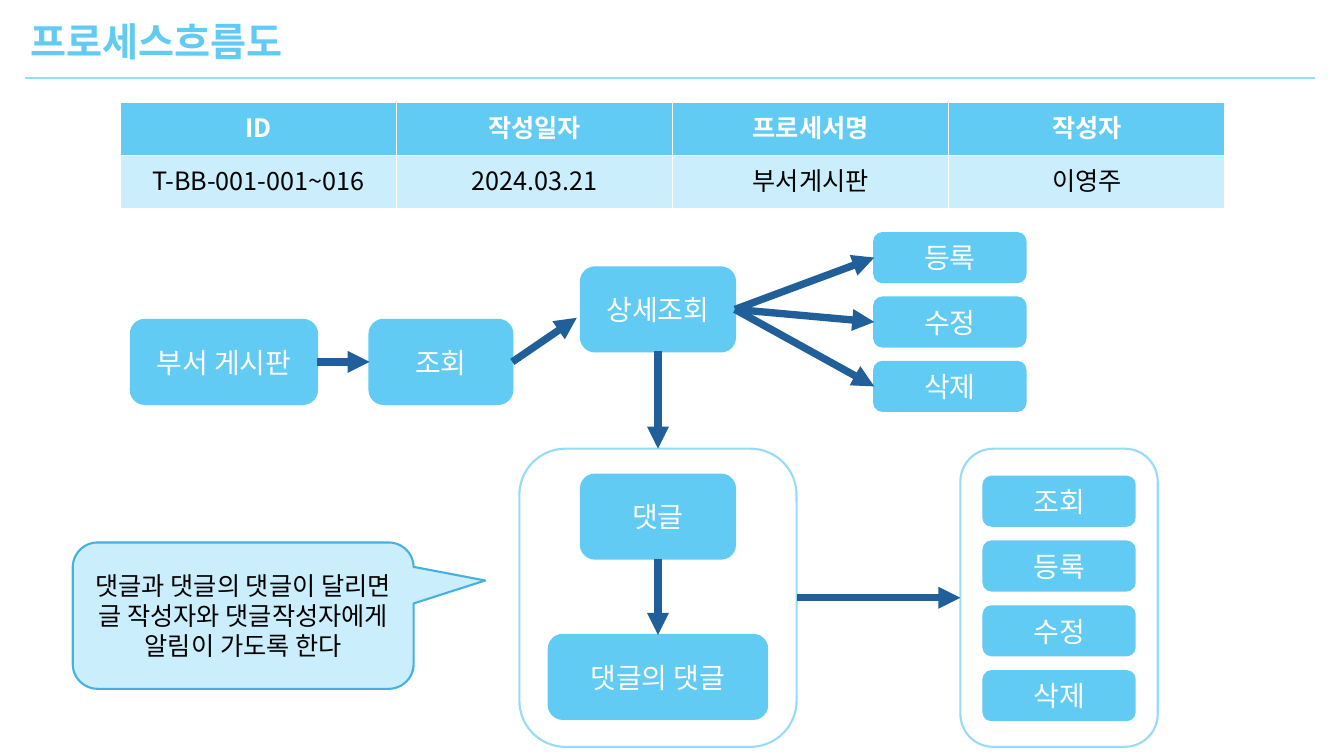
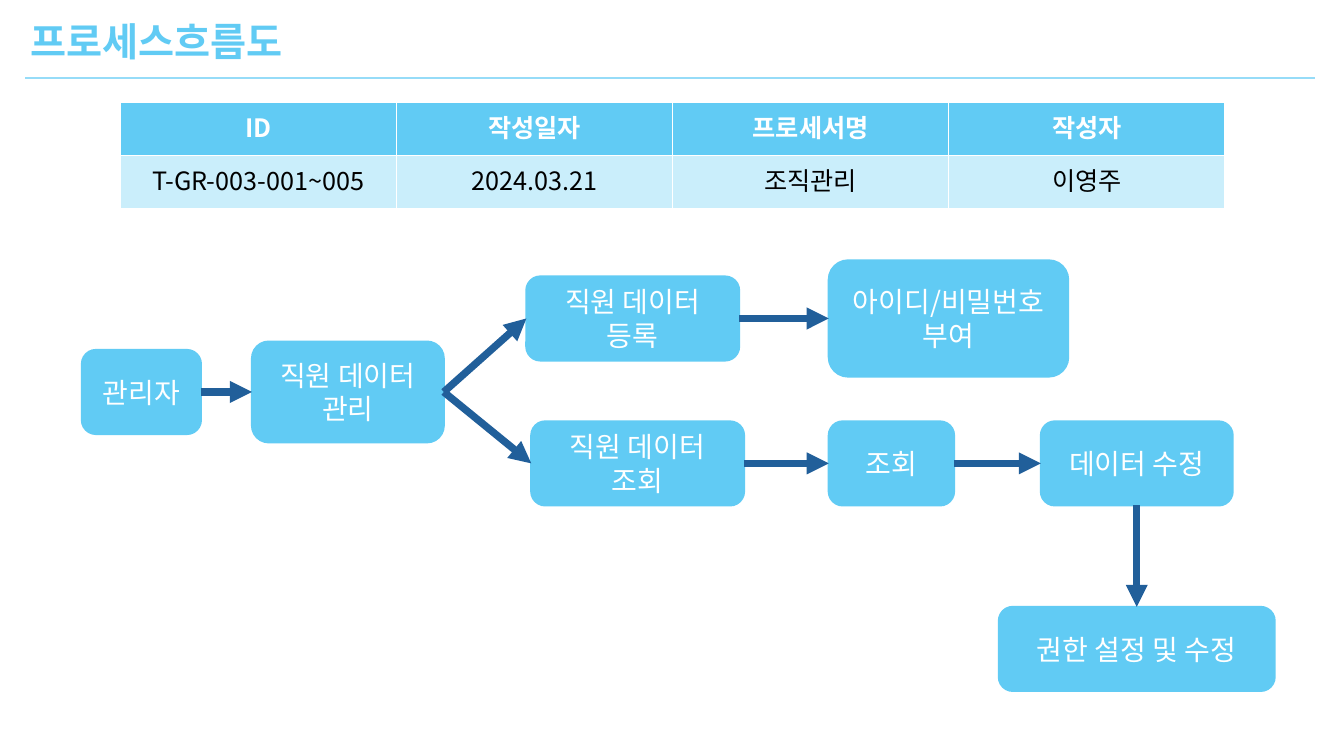
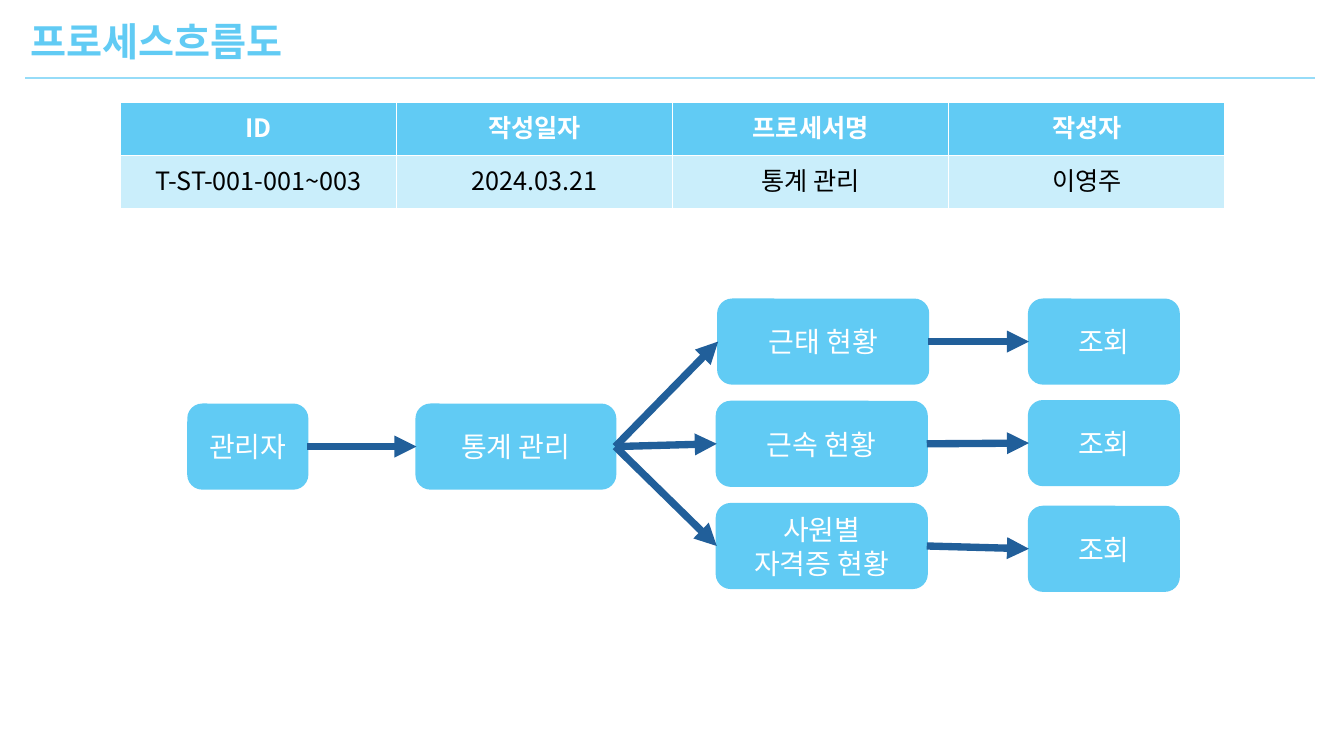
from lxml.etree import SubElement
from pptx import Presentation
from pptx.dml.color import RGBColor
from pptx.enum.shapes import MSO_CONNECTOR, MSO_SHAPE
from pptx.enum.text import MSO_ANCHOR, MSO_AUTO_SIZE, PP_ALIGN
from pptx.oxml.ns import qn
from pptx.util import Pt

SKY = RGBColor(0x61, 0xCB, 0xF4)
PALE = RGBColor(0xCA, 0xEE, 0xFB)
SOFT = RGBColor(0x96, 0xDC, 0xF8)
EDGE = RGBColor(0x46, 0xB1, 0xE1)
NAVY = RGBColor(0x21, 0x5F, 0x9A)
WHITE = RGBColor(0xFF, 0xFF, 0xFF)
BLACK = RGBColor(0x00, 0x00, 0x00)

FONT = "Noto Sans CJK KR"
TITLE_FORMAT = {"size": Pt(28), "bold": True, "name": FONT}
HEADER_FORMAT = {"size": Pt(18), "bold": True, "name": FONT}
BODY_FORMAT = {"size": Pt(18), "bold": False, "name": FONT}
BOX_FORMAT = {"size": Pt(20), "bold": False, "name": FONT}
TITLE_FRAME = {
    "word_wrap": False,
    "auto_size": MSO_AUTO_SIZE.SHAPE_TO_FIT_TEXT,
    "vertical_anchor": MSO_ANCHOR.TOP,
}
BOX_FRAME = {"word_wrap": True, "vertical_anchor": MSO_ANCHOR.MIDDLE}

TOP, LEFT, BOTTOM, RIGHT = range(4)
HEADERS = ("ID", "작성일자", "프로세서명", "작성자")


def apply(target, values):
    for name, value in values.items():
        setattr(target, name, value)


class FlowDeck:
    """Holds the shared style and the slide being drawn."""

    def __init__(self):
        self.presentation = Presentation()
        apply(self.presentation, {"slide_width": Pt(960), "slide_height": Pt(540)})
        self.slide = None

    def fill_text(self, frame, text, values, color, align=PP_ALIGN.CENTER):
        frame.text = text
        for paragraph in frame.paragraphs:
            paragraph.alignment = align
            for run in paragraph.runs:
                apply(run.font, values)
                run.font.color.rgb = color
                east_asian = SubElement(run._r.get_or_add_rPr(), qn("a:ea"))
                east_asian.set("typeface", FONT)

    def start(self, record):
        self.slide = self.presentation.slides.add_slide(
            self.presentation.slide_layouts[5]
        )
        self.title("프로세스흐름도")
        self.line((18, 56), (939.5, 56), SOFT, 1.5)
        self.table((HEADERS, record))

    def title(self, text):
        title = self.slide.shapes.title
        apply(title, {"left": Pt(14.5), "top": Pt(8.5),
                      "width": Pt(212), "height": Pt(41)})
        self.fill_text(title.text_frame, text, TITLE_FORMAT, SKY, PP_ALIGN.LEFT)
        apply(title.text_frame, TITLE_FRAME)

    def table(self, rows):
        table = self.slide.shapes.add_table(
            len(rows), len(HEADERS), Pt(86), Pt(73.5), Pt(789), Pt(75.5)
        ).table
        looks = ((SKY, HEADER_FORMAT, WHITE), (PALE, BODY_FORMAT, BLACK))
        for row, (texts, (fill, values, color)) in enumerate(zip(rows, looks)):
            for column, text in enumerate(texts):
                cell = table.cell(row, column)
                cell.fill.solid()
                cell.fill.fore_color.rgb = fill
                self.fill_text(cell.text_frame, text, values, color)

    def shape(self, kind, left, top, width, height, fill, line):
        shape = self.slide.shapes.add_shape(
            kind, Pt(left), Pt(top), Pt(width), Pt(height)
        )
        shape.shadow.inherit = False
        if fill is None:
            shape.fill.background()
        else:
            shape.fill.solid()
            shape.fill.fore_color.rgb = fill
        shape.line.color.rgb = line
        shape.line.width = Pt(1.5)
        return shape

    def box(self, text, left, top, width, height=60):
        box = self.shape(
            MSO_SHAPE.ROUNDED_RECTANGLE, left, top, width, height, SKY, SKY
        )
        apply(box.text_frame, BOX_FRAME)
        self.fill_text(box.text_frame, text, BOX_FORMAT, WHITE)
        return box

    def group_outline(self, left, top, width, height):
        return self.shape(
            MSO_SHAPE.ROUNDED_RECTANGLE, left, top, width, height, None, SOFT
        )

    def callout(self, text, left, top, width, height):
        callout = self.shape(
            MSO_SHAPE.ROUNDED_RECTANGULAR_CALLOUT, left, top, width, height, PALE, EDGE
        )
        for index, value in enumerate((0.71, -0.24, 0.17)):
            callout.adjustments[index] = value
        apply(callout.text_frame, BOX_FRAME)
        self.fill_text(callout.text_frame, text, BODY_FORMAT, BLACK)

    def line(self, begin, end, color, width):
        line = self.slide.shapes.add_connector(
            MSO_CONNECTOR.STRAIGHT, *(Pt(value) for value in (*begin, *end))
        )
        line.line.color.rgb = color
        line.line.width = Pt(width)
        SubElement(line._element.spPr, qn("a:effectLst"))
        return line

    def arrow(self, source, target=None, sides=(RIGHT, LEFT), end=(0, 0)):
        arrow = self.line((0, 0), end, NAVY, 5.25)
        arrow.begin_connect(source, sides[0])
        if target is not None:
            arrow.end_connect(target, sides[1])
        SubElement(arrow.get_or_add_ln(), qn("a:tailEnd")).set("type", "triangle")


def department_board(deck):
    deck.start(("T-BB-001-001~016", "2024.03.21", "부서게시판", "이영주"))
    board = deck.box("부서 게시판", 93.5, 228.5, 133)
    lookup = deck.box("조회", 264, 228.5, 102)
    detail = deck.box("상세조회", 415, 191, 110)
    deck.arrow(board, lookup)
    deck.arrow(lookup, end=(412, 227))
    for index, text in enumerate(("등록", "수정", "삭제")):
        deck.arrow(detail, deck.box(text, 624.5, 166.5 + 46 * index, 108, 35))

    comments = deck.group_outline(371, 320.5, 198, 213)
    comment = deck.box("댓글", 415, 339, 110)
    reply = deck.box("댓글의 댓글", 392, 453.5, 156)
    for source, target in ((detail, comments), (comment, reply)):
        deck.arrow(source, target, (BOTTOM, TOP))

    actions = deck.group_outline(686, 320.5, 141, 213)
    for index, text in enumerate(("조회", "등록", "수정", "삭제")):
        deck.box(text, 702.5, 340.5 + 46.3 * index, 108, 35)
    deck.arrow(comments, actions)
    deck.callout(
        "댓글과 댓글의 댓글이 달리면 글 작성자와 댓글작성자에게 알림이 가도록 한다",
        52, 387.5, 243.5, 104.5,
    )


def organization(deck):
    deck.start(("T-GR-003-001~005", "2024.03.21", "조직관리", "이영주"))
    manager = deck.box("관리자", 58.5, 250, 85)
    staff = deck.box("직원 데이터 관리", 180, 244, 137, 72)
    register = deck.box("직원 데이터 등록", 376, 197.5, 152)
    account = deck.box("아이디/비밀번호 부여", 592, 186, 171, 83)
    search = deck.box("직원 데이터 조회", 379.5, 301, 152)
    lookup = deck.box("조회", 592, 301, 89.5)
    edit = deck.box("데이터 수정", 743.5, 301, 137)
    rights = deck.box("권한 설정 및 수정", 713.5, 433.5, 197)
    for source, target in (
        (manager, staff), (staff, register), (staff, search),
        (register, account), (search, lookup), (lookup, edit),
    ):
        deck.arrow(source, target)
    deck.arrow(edit, rights, (BOTTOM, TOP))


def statistics(deck):
    deck.start(("T-ST-001-001~003", "2024.03.21", "통계 관리", "이영주"))
    manager = deck.box("관리자", 134.5, 289, 85)
    overview = deck.box("통계 관리", 297.5, 289, 142)
    deck.arrow(manager, overview)
    for text, left, top, lookup_top in (
        ("근태 현황", 513, 214, 214),
        ("근속 현황", 512, 287, 286.5),
        ("사원별\n자격증 현황", 512, 360, 362),
    ):
        status = deck.box(text, left, top, 150)
        deck.arrow(overview, status)
        deck.arrow(status, deck.box("조회", 735, lookup_top, 107))


def main():
    deck = FlowDeck()
    for build in (department_board, organization, statistics):
        build(deck)
    deck.presentation.save("out.pptx")


if __name__ == "__main__":
    main()
